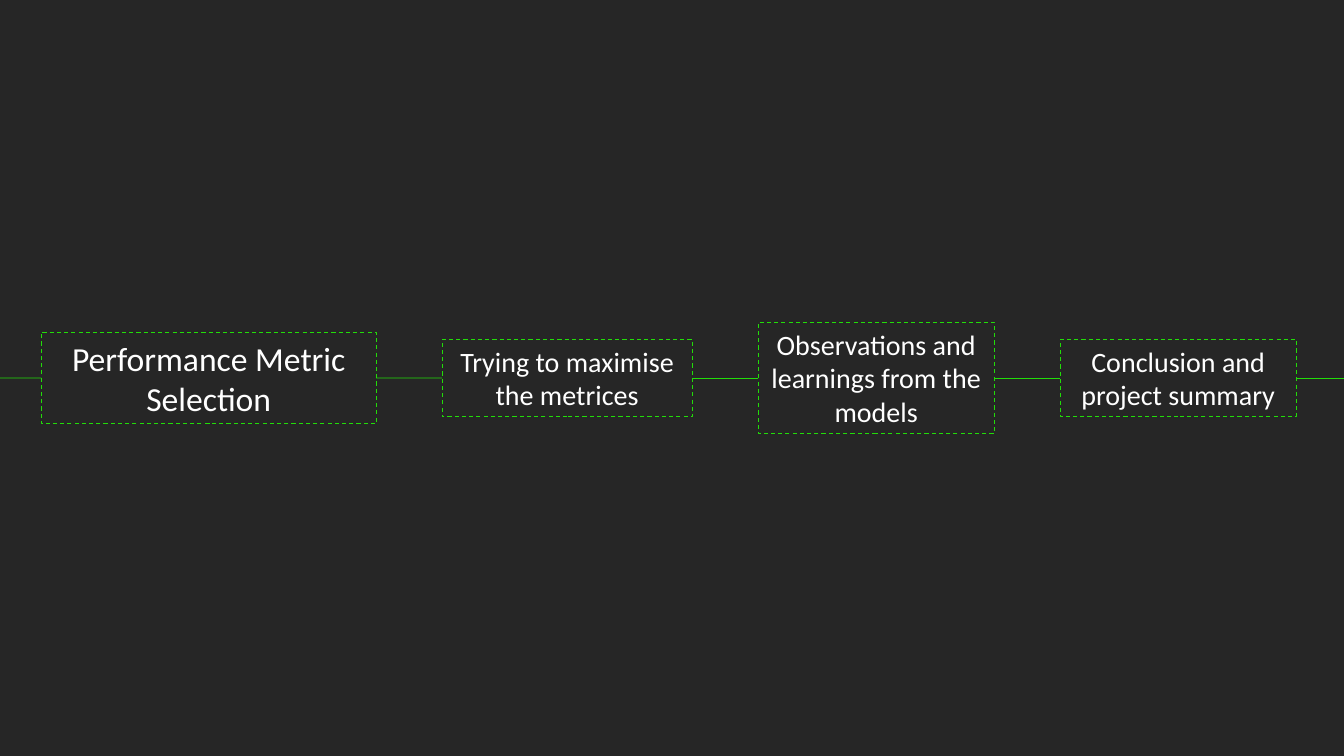
from dataclasses import dataclass

from lxml import etree
from pptx import Presentation
from pptx.dml.color import RGBColor
from pptx.enum.dml import MSO_LINE
from pptx.enum.shapes import MSO_CONNECTOR, MSO_SHAPE
from pptx.enum.text import MSO_ANCHOR, MSO_AUTO_SIZE, PP_ALIGN
from pptx.oxml.ns import qn
from pptx.util import Inches, Pt

RECTANGLE = MSO_SHAPE.RECTANGLE
STRAIGHT = MSO_CONNECTOR.STRAIGHT
DASH = MSO_LINE.DASH
CENTER = PP_ALIGN.CENTER
TOP, MIDDLE = MSO_ANCHOR.TOP, MSO_ANCHOR.MIDDLE
FIT_SHAPE = MSO_AUTO_SIZE.SHAPE_TO_FIT_TEXT
LEFT_SIDE, RIGHT_SIDE = 1, 3


@dataclass(frozen=True)
class Theme:
    background: RGBColor = RGBColor(0x26, 0x26, 0x26)
    accent: RGBColor = RGBColor(0x22, 0xDD, 0x09)
    text: RGBColor = RGBColor(0xFF, 0xFF, 0xFF)
    font: str = "Calibri"
    lead_size: int = 24
    step_size: int = 20
    box_line: float = 0.75
    link_line: float = 0.5


def write_text(shape, text, *, size, color, font, anchor=TOP, align=CENTER):
    frame = shape.text_frame
    frame.word_wrap = True
    frame.auto_size = FIT_SHAPE
    frame.vertical_anchor = anchor
    paragraph = frame.paragraphs[0]
    paragraph.alignment = align
    run = paragraph.add_run()
    run.text = text
    run.font.size = Pt(size)
    run.font.name = font
    run.font.color.rgb = color


class TimelineBuilder:
    """Places elements by percentages of the slide's width and height."""

    def __init__(self, presentation, theme):
        self.theme = theme
        self.width = presentation.slide_width
        self.height = presentation.slide_height
        self.slide = presentation.slides.add_slide(presentation.slide_layouts[6])
        fill = self.slide.background.fill
        fill.solid()
        fill.fore_color.rgb = theme.background

    def across(self, percent):
        return round(self.width * percent / 100)

    def down(self, percent):
        return round(self.height * percent / 100)

    def box(self, text, left, width, height, size, anchor):
        shape = self.slide.shapes.add_shape(
            RECTANGLE, self.across(left), self.down(50 - height / 2),
            self.across(width), self.down(height))
        shape.shadow.inherit = False
        shape.fill.background()
        shape.line.color.rgb = self.theme.accent
        shape.line.width = Pt(self.theme.box_line)
        shape.line.dash_style = DASH
        write_text(shape, text, size=size, anchor=anchor,
                   color=self.theme.text, font=self.theme.font)
        return shape

    def link(self, before, after):
        """Joins two boxes; None stands for the edge of the slide."""
        middle = self.down(50)
        start = before.left + before.width if before else 0
        end = after.left if after else self.width
        connector = self.slide.shapes.add_connector(
            STRAIGHT, start, middle, end, middle)
        if before:
            connector.begin_connect(before, RIGHT_SIDE)
        if after:
            connector.end_connect(after, LEFT_SIDE)
        connector.line.color.rgb = self.theme.accent
        connector.line.width = Pt(self.theme.link_line)
        properties = connector._element.find(qn("p:spPr"))
        etree.SubElement(properties, qn("a:effectLst"))


def main():
    presentation = Presentation()
    presentation.slide_width = Inches(13.33)
    presentation.slide_height = Inches(7.5)
    theme = Theme()
    builder = TimelineBuilder(presentation, theme)

    # Steps: text, width, height, type size, anchor
    steps = [
        ("Performance Metric Selection", 24.9, 12.13, theme.lead_size, MIDDLE),
        ("Trying to maximise the metrices", 18.6, 10.27, theme.step_size, TOP),
        ("Observations and learnings from the models", 17.55, 14.8, theme.step_size, TOP),
        ("Conclusion and project summary", 17.55, 10.27, theme.step_size, TOP),
    ]
    left, gap = 3.08, 4.92
    boxes = []
    for text, width, height, size, anchor in steps:
        boxes.append(builder.box(text, left, width, height, size, anchor))
        left += width + gap

    # Links from edge to edge
    for before, after in zip([None] + boxes, boxes + [None]):
        builder.link(before, after)

    presentation.save("out.pptx")


if __name__ == "__main__":
    main()
